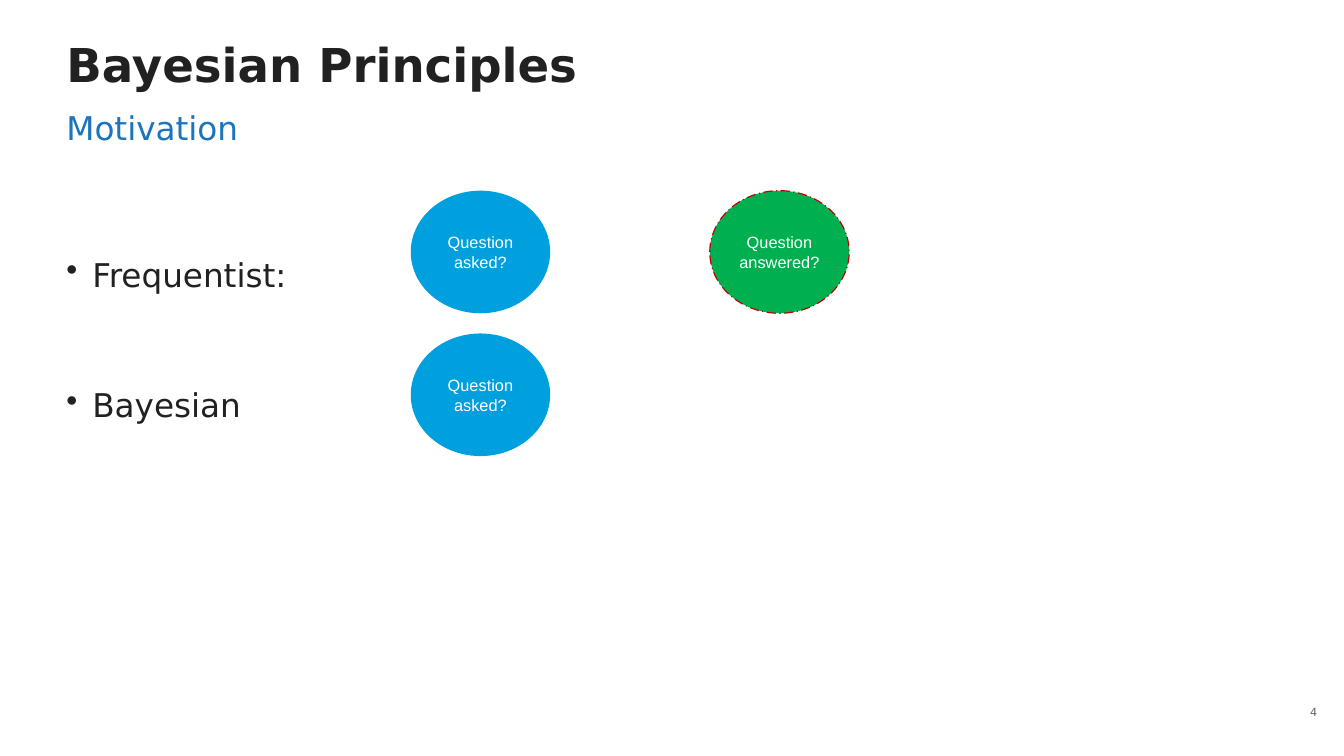
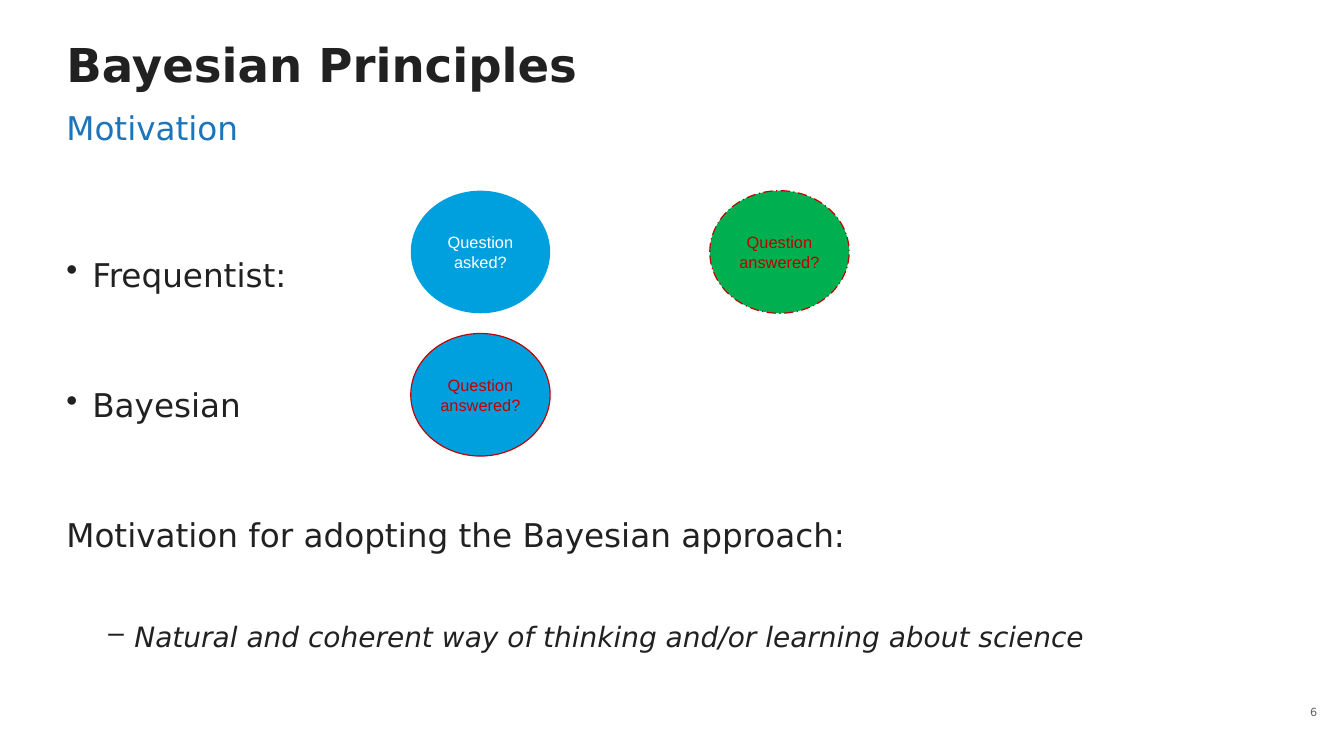
from lxml.etree import SubElement
from pptx import Presentation
from pptx.dml.color import RGBColor
from pptx.enum.dml import MSO_LINE
from pptx.enum.shapes import MSO_SHAPE
from pptx.enum.text import MSO_ANCHOR as Anchor, PP_ALIGN as Align
from pptx.oxml.ns import qn
from pptx.util import Inches, Pt

INK, ACCENT, GREY, WHITE = "212121", "1C75BC", "646464", "FFFFFF"
BLUE, GREEN, RED = "00A0DF", "00B050", "C00000"
ASKED, ANSWERED = "Question asked?", "Question answered?"
ASK_COLUMN, ANSWER_COLUMN = 4.89, 8.45
FREQUENTIST_ROW, BAYESIAN_ROW = 2.27, 3.97


def color(code):
    return RGBColor.from_string(code)


class BayesDeck:
    MARGIN, WIDTH = 0.79, 14.42
    FONT, LABEL_FONT = "DejaVu Sans", "Arial"

    def __init__(self):
        self.deck = Presentation()
        self.deck.slide_width, self.deck.slide_height = Inches(16), Inches(9)
        self.page = None

    def style(self, para, size, code=INK, font=FONT, bold=None, italic=None):
        para.font.name, para.font.size = font, Pt(size)
        para.font.bold, para.font.italic = bold, italic
        para.font.color.rgb = color(code)

    def text_box(self, left, top, width, height, inset=0):
        frame = self.page.shapes.add_textbox(
            Inches(left), Inches(top), Inches(width), Inches(height)).text_frame
        frame.word_wrap = True
        frame.margin_left = frame.margin_right = Inches(inset)
        frame.margin_top = frame.margin_bottom = Inches(inset / 2)
        return frame

    def add_page(self, number):
        """Start a slide with the shared title, subtitle and page number."""
        self.page = self.deck.slides.add_slide(self.deck.slide_layouts[6])
        title = self.text_box(self.MARGIN, 0.5, self.WIDTH, 0.61).paragraphs[0]
        title.text, title.line_spacing = "Bayesian Principles", 0.9
        self.style(title, 40, bold=True)
        subtitle = self.text_box(self.MARGIN, 1.28, self.WIDTH, 0.47).paragraphs[0]
        subtitle.text = "Motivation"
        self.style(subtitle, 28, ACCENT)
        frame = self.text_box(15.28, 8.26, 0.5, 0.44, inset=0.1)
        frame.vertical_anchor = Anchor.MIDDLE
        footer = frame.paragraphs[0]
        footer.text, footer.alignment = str(number), Align.RIGHT
        self.style(footer, 9.6, GREY)

    def bullet(self, para, mark, left):
        props = para._p.get_or_add_pPr()
        props.set("marL", str(Inches(left)))
        props.set("indent", str(Inches(-0.31)))
        mark_color = SubElement(props, qn("a:buClr"))
        SubElement(mark_color, qn("a:srgbClr"), val=INK)
        SubElement(props, qn("a:buChar"), char=mark)

    def body(self, bullets, statement=None, detail=None):
        """Write bullets, then an optional statement with an italic sub-point."""
        frame = self.text_box(self.MARGIN, 3.03, self.WIDTH, 5.05)
        lines = [(text, "•", 0.31, 28, 78) for text in bullets]
        if statement:
            lines.append((statement, None, 0, 28, 78))
        if detail:
            lines.append((detail, "–", 0.81, 24, 56))
        for index, (text, mark, left, size, gap) in enumerate(lines):
            para = frame.add_paragraph() if index else frame.paragraphs[0]
            para.text = text
            if index:
                para.space_before = Pt(gap)
            if mark:
                self.bullet(para, mark, left)
            self.style(para, size, italic=True if text == detail else None)

    def question(self, left, top, text, fill=BLUE, text_color=WHITE,
                 outline=None, dash=None):
        oval = self.page.shapes.add_shape(
            MSO_SHAPE.OVAL, Inches(left), Inches(top), Inches(1.66), Inches(1.46))
        oval.shadow.inherit = False
        oval.fill.solid()
        oval.fill.fore_color.rgb = color(fill)
        if outline:
            oval.line.color.rgb = color(outline)
            oval.line.width = Pt(1)
            if dash:
                oval.line.dash_style = dash
        else:
            oval.line.fill.background()
        oval.text_frame.vertical_anchor = Anchor.MIDDLE
        para = oval.text_frame.paragraphs[0]
        para.text, para.alignment = text, Align.CENTER
        self.style(para, 14, text_color, self.LABEL_FONT)

    def comparison(self, answer_color, bayesian_text, bayesian_color=WHITE,
                   bayesian_outline=None):
        self.question(ASK_COLUMN, FREQUENTIST_ROW, ASKED)
        self.question(ANSWER_COLUMN, FREQUENTIST_ROW, ANSWERED, GREEN,
                      answer_color, RED, MSO_LINE.LONG_DASH_DOT)
        self.question(ASK_COLUMN, BAYESIAN_ROW, bayesian_text,
                      text_color=bayesian_color, outline=bayesian_outline)


def main():
    bayes = BayesDeck()
    approaches = ["Frequentist:", "Bayesian"]

    bayes.add_page(4)
    bayes.body(approaches)
    bayes.comparison(WHITE, ASKED)

    bayes.add_page(6)
    bayes.body(approaches, "Motivation for adopting the Bayesian approach:",
               "Natural and coherent way of thinking and/or learning about science")
    bayes.comparison(RED, ANSWERED, RED, RED)

    bayes.deck.save("out.pptx")


if __name__ == "__main__":
    main()
